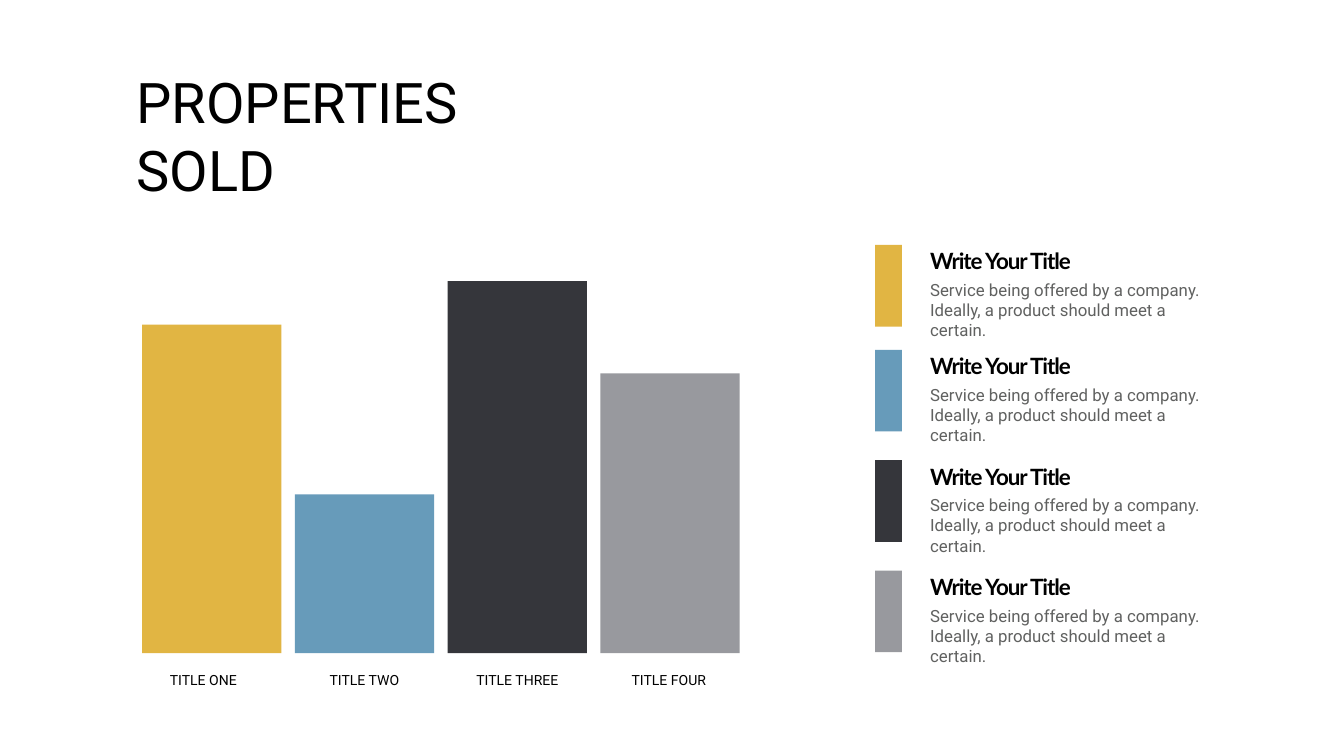
from pptx import Presentation
from pptx import util as u
from pptx.dml.color import RGBColor
from pptx.enum import shapes, text

PX = 9144
BASELINE = 1296
BAR_LEFT, BAR_WIDTH, BAR_PITCH = 282, 276, 303
BODY = "Service being offered by a company. Ideally, a product should meet a certain."
BARS = [
    ("TITLE ONE", 327, 154, 652, "E1B543"),
    ("TITLE TWO", 644, 160, 315, "679BBA"),
    ("TITLE THREE", 935, 185, 738, "35363B"),
    ("TITLE FOUR", 1243, 170, 555, "98999E"),
]
LEGEND_TOPS = [486, 694, 913, 1132]


def px(*values):
    """Turn whole px into EMU lengths."""
    return [u.Emu(v * PX) for v in values]


def rgb(color):
    """Turn a hex string into a colour."""
    return RGBColor.from_string(color)


def add_rect(s, x, y, w, h, color):
    """Add a plain filled rectangle."""
    sp = s.shapes.add_shape(shapes.MSO_SHAPE.RECTANGLE, *px(x, y, w, h))
    sp.shadow.inherit = False
    sp.fill.solid()
    sp.fill.fore_color.rgb = rgb(color)
    sp.line.fill.background()
    return sp


def add_text(s, content, x, y, w, h, size, font="Roboto", color="000000",
             bold=False, spacing=None, inset=(10, 5), wrap=True):
    """Add a text box with one paragraph for each line of content."""
    sp = s.shapes.add_textbox(*px(x, y, w, h))
    tf = sp.text_frame
    tf.word_wrap = wrap
    tf.auto_size = text.MSO_AUTO_SIZE.NONE
    tf.margin_left, tf.margin_top = tf.margin_right, tf.margin_bottom = px(*inset)
    for i, line in enumerate(content.split("\n")):
        p = tf.paragraphs[0] if i == 0 else tf.add_paragraph()
        r = p.add_run()
        r.text = line
        r.font.name = font
        r.font.size = u.Pt(size)
        r.font.bold = bold
        r.font.color.rgb = rgb(color)
        if spacing is not None:
            r.font._element.set("spc", str(round(spacing * 100)))
    return sp


def add_bar(s, index, label, label_left, label_width, height, color):
    """Add one bar standing on the baseline with its label below."""
    add_rect(s, BAR_LEFT + index * BAR_PITCH, BASELINE - height, BAR_WIDTH, height, color)
    add_text(s, label, label_left, 1327, label_width, 44, 20, wrap=False)


def add_legend(s, top, color):
    """Add one legend entry: swatch, heading and description."""
    add_rect(s, 1736, top, 53, 162, color)
    add_text(s, BODY, 1821, top + 57, 631, 105, 24, color="606160", inset=(24, 12))
    add_text(s, "Write Your Title", 1835, top, 315, 64, 32, font="Lato", bold=True, spacing=-1.5)


def main():
    """Build the slide and save it."""
    prs = Presentation()
    prs.slide_width, prs.slide_height = px(2666, 1500)
    s = prs.slides.add_slide(prs.slide_layouts[6])
    add_text(s, "PROPERTIES\nSOLD", 261, 130, 728, 279, 80)
    for i, (bar, top) in enumerate(zip(BARS, LEGEND_TOPS)):
        add_bar(s, i, *bar)
        add_legend(s, top, bar[-1])
    prs.save("out.pptx")


if __name__ == "__main__":
    main()
